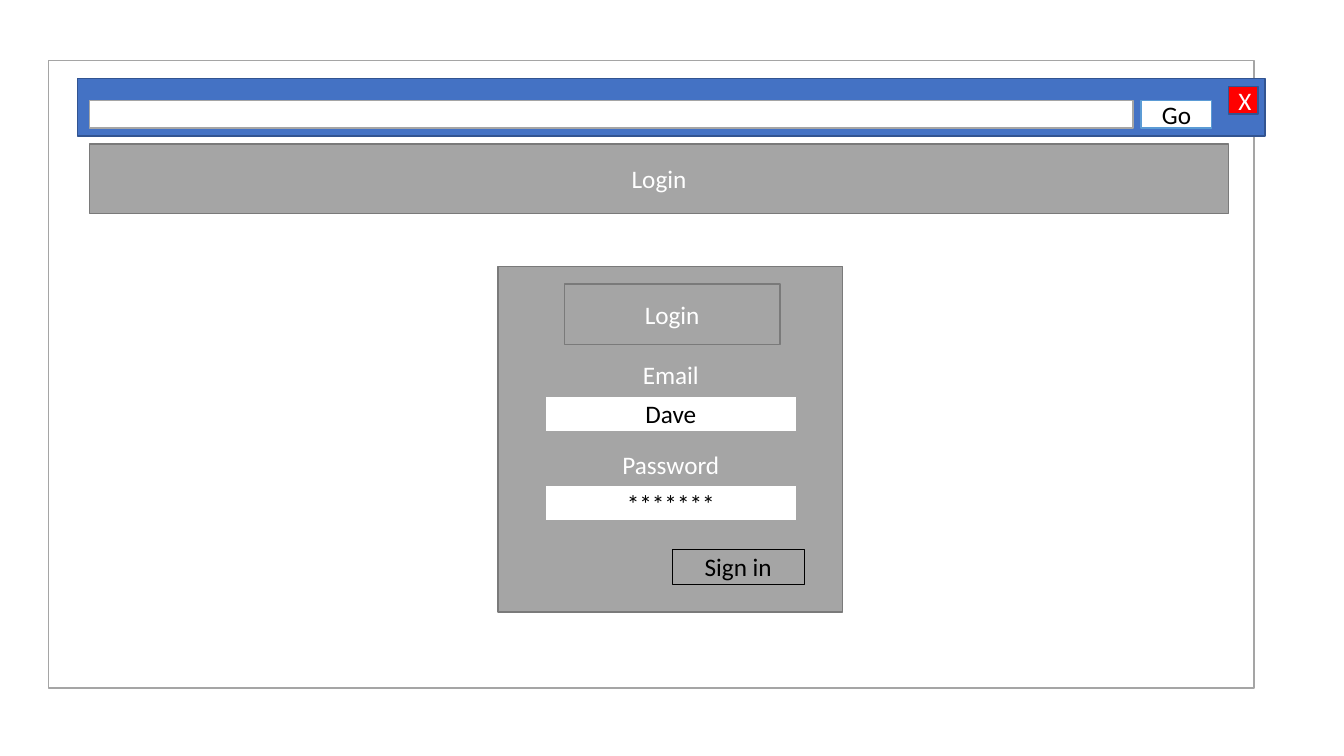
from collections import namedtuple

from pptx import Presentation
from pptx.dml.color import RGBColor
from pptx.enum.shapes import MSO_SHAPE as Shape
from pptx.enum.text import MSO_ANCHOR as Anchor, PP_ALIGN as Align
from pptx.util import Cm, Pt

WHITE = RGBColor(0xFF, 0xFF, 0xFF)
BLACK = RGBColor(0x00, 0x00, 0x00)
RED = RGBColor(0xFF, 0x00, 0x00)
GREY = RGBColor(0xA5, 0xA5, 0xA5)
DARK_GREY = RGBColor(0x7A, 0x7A, 0x7A)
BLUE = RGBColor(0x44, 0x72, 0xC4)
DARK_BLUE = RGBColor(0x32, 0x54, 0x91)
LIGHT_BLUE = RGBColor(0x5B, 0x9B, 0xD5)

Box = namedtuple("Box", "left top width height")


def inside(box, left, top, width, height):
    return Box(box.left + left, box.top + top, width, height)


def add_block(slide, box, fill=None, line=None, text="", color=WHITE, line_width=1):
    block = slide.shapes.add_shape(Shape.RECTANGLE, *(Cm(length) for length in box))
    block.shadow.inherit = False
    if fill is None:
        block.fill.background()
    else:
        block.fill.solid()
        block.fill.fore_color.rgb = fill
    if line is None:
        block.line.fill.background()
    else:
        block.line.color.rgb = line
        block.line.width = Pt(line_width)
    if text:
        frame = block.text_frame
        frame.text = text
        frame.vertical_anchor = Anchor.MIDDLE
        paragraph = frame.paragraphs[0]
        paragraph.alignment = Align.CENTER
        paragraph.font.name = "Calibri"
        paragraph.font.size = Pt(18)
        paragraph.font.color.rgb = color


def add_browser_bar(slide, box):
    add_block(slide, box, BLUE, DARK_BLUE)
    add_block(slide, inside(box, 0.3, 0.56, 26.29, 0.69), WHITE, GREY)
    add_block(slide, inside(box, 29, 0.2, 0.74, 0.69), RED, DARK_BLUE, "X")
    add_block(slide, inside(box, 26.8, 0.56, 1.78, 0.69), WHITE, LIGHT_BLUE, "Go", BLACK)


def add_login_form(slide, box):
    add_block(slide, box, GREY, DARK_GREY)
    add_block(slide, inside(box, 1.67, 0.45, 5.44, 1.52), GREY, DARK_GREY, "Login")
    for row, (label, entry) in enumerate([("Email", "Dave"), ("Password", "*******")]):
        label_box = inside(box, 1.19, 2.28 + row * 2.26, 6.33, 0.89)
        add_block(slide, label_box, GREY, text=label)
        add_block(slide, inside(label_box, 0, 0.99, 6.33, 0.89), WHITE, GREY, entry, BLACK)
    add_block(slide, inside(box, 4.39, 7.13, 3.33, 0.89), line=BLACK,
              text="Sign in", color=BLACK, line_width=0.75)


def add_login_page(slide, box):
    add_block(slide, box, WHITE, GREY)
    add_browser_bar(slide, inside(box, 0.74, 0.46, 29.92, 1.45))
    add_block(slide, inside(box, 1.04, 2.11, 28.7, 1.75), GREY, DARK_GREY, "Login")
    add_login_form(slide, inside(box, 11.33, 5.19, 8.69, 8.71))


presentation = Presentation()
presentation.slide_width = Cm(33.87)
presentation.slide_height = Cm(19.05)
login_slide = presentation.slides.add_slide(presentation.slide_layouts[6])
add_login_page(login_slide, Box(1.22, 1.52, 30.38, 15.82))
presentation.save("out.pptx")
